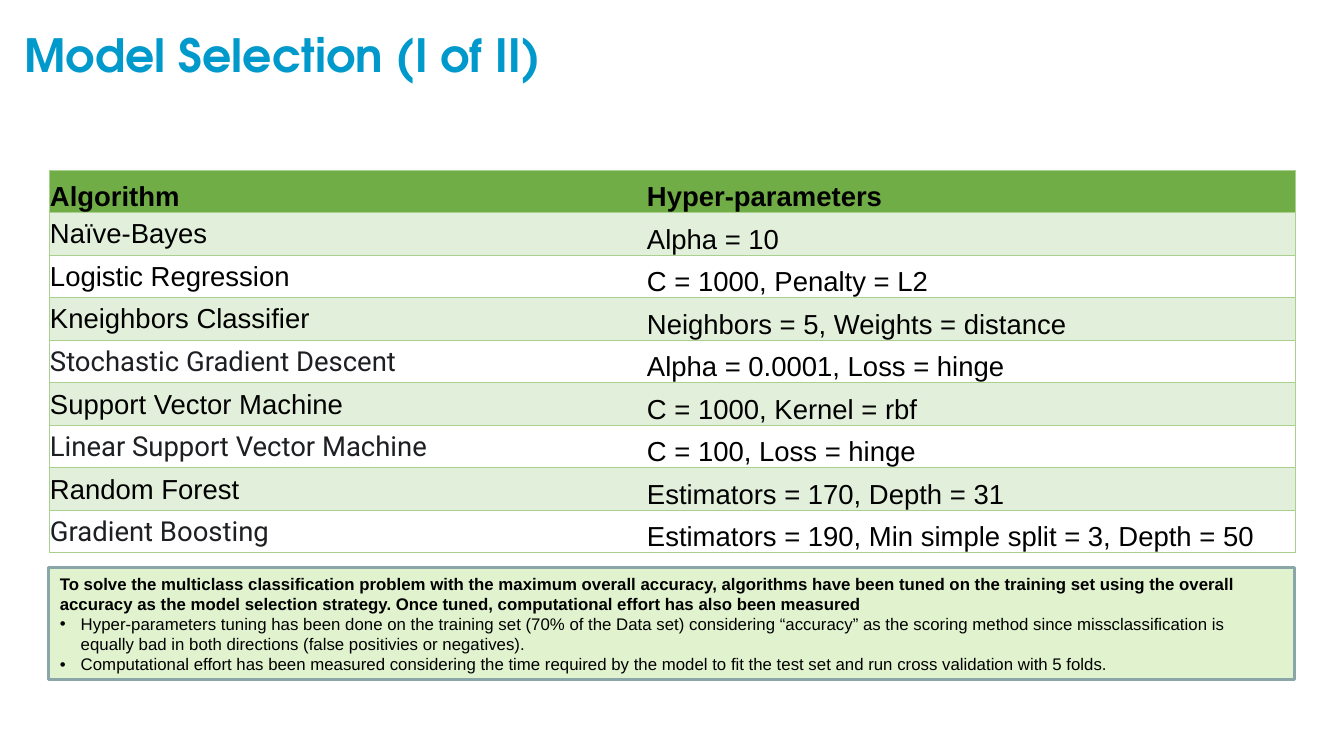
from lxml import etree
from pptx import Presentation
from pptx.dml.color import RGBColor
from pptx.enum.shapes import MSO_SHAPE
from pptx.enum.text import MSO_ANCHOR, PP_ALIGN
from pptx.oxml.ns import qn
from pptx.util import Pt

PX = 8320  # EMU per px, about 109.9 px to the inch
RECTANGLE = MSO_SHAPE.RECTANGLE
LEFT = PP_ALIGN.LEFT
MIDDLE, BOTTOM = MSO_ANCHOR.MIDDLE, MSO_ANCHOR.BOTTOM

TITLE_BLUE = RGBColor(0x00, 0x99, 0xCC)
BLACK = RGBColor(0x00, 0x00, 0x00)
CHARCOAL = RGBColor(0x1D, 0x1F, 0x22)
HEADER_GREEN = RGBColor(0x70, 0xAD, 0x47)
BAND_GREEN = RGBColor(0xE2, 0xEF, 0xDA)
BORDER_GREEN = RGBColor(0xA9, 0xD0, 0x8E)
NOTE_GREEN = RGBColor(0xE1, 0xF2, 0xCE)
NOTE_BORDER = RGBColor(0x8A, 0xA6, 0xA8)

TITLE = "Model Selection (I of II)"
COLUMN_WIDTHS = (597, 649)
MODELS = [
    ("Algorithm", "Hyper-parameters"),
    ("Naïve-Bayes", "Alpha = 10"),
    ("Logistic Regression", "C = 1000, Penalty = L2"),
    ("Kneighbors Classifier", "Neighbors = 5, Weights = distance"),
    ("Stochastic Gradient Descent", "Alpha = 0.0001, Loss = hinge"),
    ("Support Vector Machine", "C = 1000, Kernel = rbf"),
    ("Linear Support Vector Machine", "C = 100, Loss = hinge"),
    ("Random Forest", "Estimators = 170, Depth = 31"),
    ("Gradient Boosting", "Estimators = 190, Min simple split = 3, Depth = 50"),
]
ROBOTO_MODELS = {
    "Stochastic Gradient Descent",
    "Linear Support Vector Machine",
    "Gradient Boosting",
}
NOTE_LEAD = (
    "To solve the multiclass classification problem with the maximum overall accuracy, "
    "algorithms have been tuned on the training set using the overall accuracy as the "
    "model selection strategy. Once tuned, computational effort has also been measured"
)
NOTE_BULLETS = [
    "Hyper-parameters tuning has been done on the training set (70% of the Data set) "
    "considering “accuracy” as the scoring method since missclassification is equally "
    "bad in both directions (false positivies or negatives).",
    "Computational effort has been measured considering the time required by the model "
    "to fit the test set and run cross validation with 5 folds.",
]


def to_emu(box):
    return [length * PX for length in box]


def style_paragraph(paragraph, name, size, color, bold=False):
    paragraph.alignment = LEFT
    font = paragraph.font
    font.name, font.size, font.bold = name, Pt(size), bold
    font.color.rgb = color


def add_bullet(paragraph, indent):
    properties = paragraph._p.get_or_add_pPr()
    properties.set("marL", str(indent * PX))
    properties.set("indent", str(-indent * PX))
    etree.SubElement(properties, qn("a:buFont")).set("typeface", "Arial")
    etree.SubElement(properties, qn("a:buChar")).set("char", "•")


def set_borders(cell, open_side):
    """Draw thin borders on every side but the open one."""
    properties = cell._tc.get_or_add_tcPr()
    for position, side in enumerate(("lnL", "lnR", "lnT", "lnB")):
        line = etree.Element(qn(f"a:{side}"), w=str(Pt(0.5)))
        if side == open_side:
            etree.SubElement(line, qn("a:noFill"))
        else:
            fill = etree.SubElement(line, qn("a:solidFill"))
            etree.SubElement(fill, qn("a:srgbClr")).set("val", str(BORDER_GREEN))
        properties.insert(position, line)


def add_title(slide, box):
    frame = slide.shapes.add_textbox(*to_emu(box)).text_frame
    frame.word_wrap = True
    frame.vertical_anchor = BOTTOM
    paragraph = frame.paragraphs[0]
    paragraph.text = TITLE
    style_paragraph(paragraph, "TeX Gyre Adventor", 30, TITLE_BLUE, bold=True)


def fill_cell(cell, text, row, column):
    cell.margin_left = cell.margin_right = cell.margin_top = PX
    cell.margin_bottom = 0
    cell.vertical_anchor = MIDDLE if row and column == 0 else BOTTOM

    if row % 2 or row == 0:
        cell.fill.solid()
        cell.fill.fore_color.rgb = BAND_GREEN if row else HEADER_GREEN
    else:
        cell.fill.background()
    set_borders(cell, "lnL" if column else "lnR")

    paragraph = cell.text_frame.paragraphs[0]
    paragraph.text = text
    name, color = ("Roboto", CHARCOAL) if text in ROBOTO_MODELS else ("Arial", BLACK)
    style_paragraph(paragraph, name, 18, color, bold=row == 0)


def add_model_table(slide, box):
    table = slide.shapes.add_table(len(MODELS), len(COLUMN_WIDTHS), *to_emu(box)).table
    table.first_row = table.horz_banding = False
    for column, width in zip(table.columns, COLUMN_WIDTHS):
        column.width = width * PX
    for row, texts in enumerate(MODELS):
        for column, text in enumerate(texts):
            fill_cell(table.cell(row, column), text, row, column)


def add_note(slide, box):
    shape = slide.shapes.add_shape(RECTANGLE, *to_emu(box))
    shape.shadow.inherit = False
    shape.fill.solid()
    shape.fill.fore_color.rgb = NOTE_GREEN
    shape.line.color.rgb = NOTE_BORDER
    shape.line.width = Pt(2)

    frame = shape.text_frame
    frame.word_wrap = True
    frame.vertical_anchor = MIDDLE
    lead = frame.paragraphs[0]
    lead.text = NOTE_LEAD
    style_paragraph(lead, "Arial", 11, BLACK, bold=True)
    for text in NOTE_BULLETS:
        paragraph = frame.add_paragraph()
        paragraph.text = text
        style_paragraph(paragraph, "Arial", 11, BLACK)
        add_bullet(paragraph, 21)


def main():
    presentation = Presentation()
    presentation.slide_width, presentation.slide_height = to_emu((1344, 756))
    slide = presentation.slides.add_slide(presentation.slide_layouts[6])

    # Heading, tuned models, and how they were tuned
    add_title(slide, (14, 41, 1262, 46))
    add_model_table(slide, (49, 170, sum(COLUMN_WIDTHS), 383))
    add_note(slide, (49, 568, sum(COLUMN_WIDTHS), 112))

    presentation.save("out.pptx")


if __name__ == "__main__":
    main()
